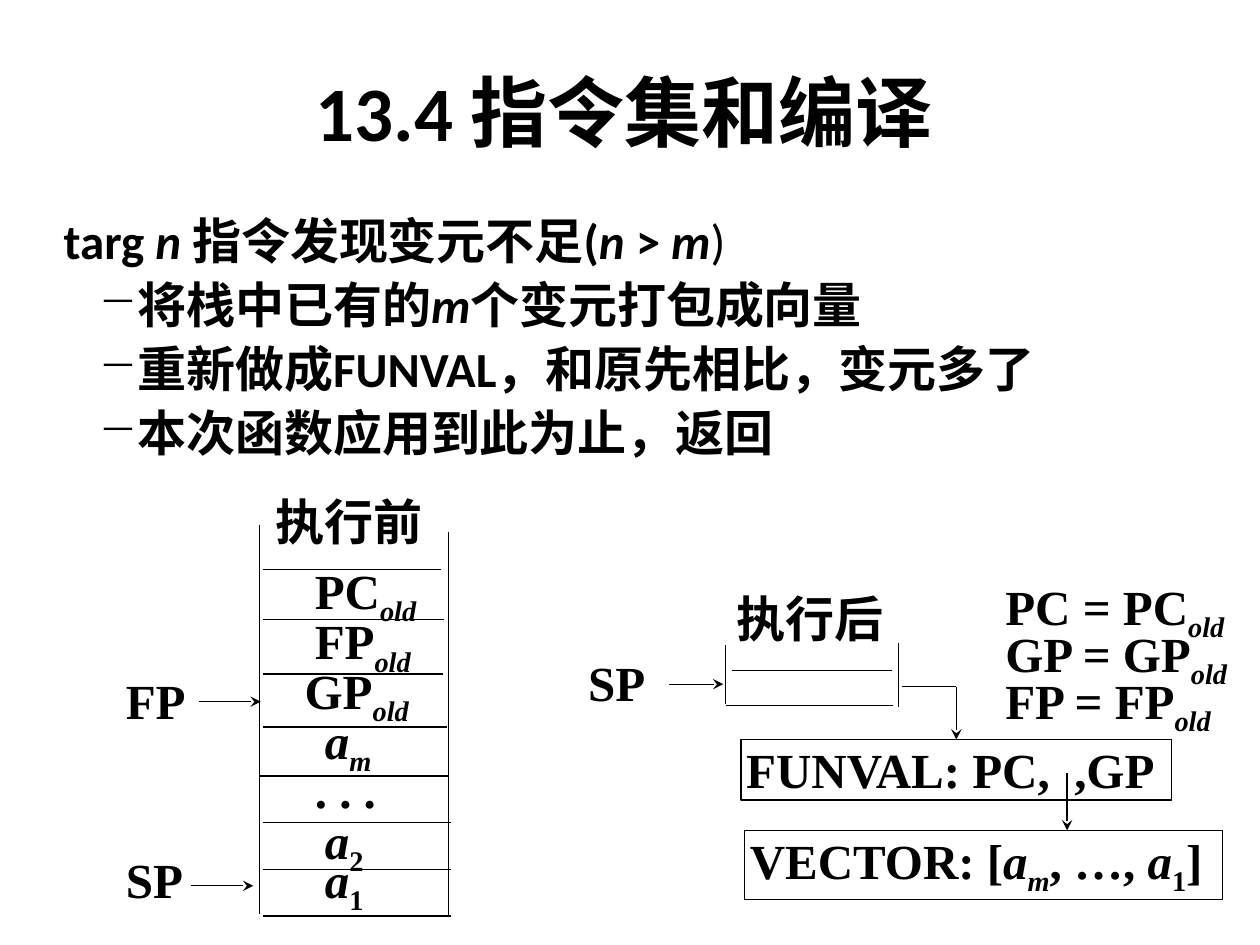
from lxml import etree
from pptx import Presentation
from pptx.dml.color import RGBColor
from pptx.enum.shapes import MSO_CONNECTOR, MSO_SHAPE
from pptx.enum.text import MSO_ANCHOR, PP_ALIGN
from pptx.oxml.ns import qn
from pptx.util import Pt

BLACK = RGBColor(0, 0, 0)
HEADING_FONT = "Calibri"
DIAGRAM_FONT = "Times New Roman"
TEXT_SIZE = 28

# Run styles: any combination of these letters
ITALIC, SUBSCRIPT, LIGHT = "i", "s", "l"
OLD = ("old", ITALIC + SUBSCRIPT)

BODY = [
    [("targ ", ""), ("n ", ITALIC), ("指令发现变元不足(", ""), ("n ", ITALIC),
     ("> ", ""), ("m", ITALIC), (")", LIGHT)],
    [("将栈中已有的", ""), ("m", ITALIC), ("个变元打包成向量", "")],
    [("重新做成FUNVAL，和原先相比，变元多了", "")],
    [("本次函数应用到此为止，返回", "")],
]

# Stack cells before execution: left, top, width, runs
STACK_CELLS = [
    (172.8, 316.8, 95, [("PC", ""), OLD]),
    (172.8, 345.6, 93, [("FP", ""), OLD]),
    (167, 373.7, 106, [("GP", ""), OLD]),
    (178.6, 402.5, 51, [("a", ITALIC), ("m", ITALIC + SUBSCRIPT)]),
    (172.8, 430.6, 68, [(". . .", "")]),
    (178.6, 459.4, 51, [("a", ITALIC), ("2", SUBSCRIPT)]),
    (178.6, 481.7, 45, [("a", ITALIC), ("1", SUBSCRIPT)]),
]

# Stack dividers: y, left end, right end
STACK_DIVIDERS = [
    (325.4, 150.5, 252), (354.2, 150.5, 254), (385.2, 150.5, 253.4),
    (415.4, 150.5, 255.6), (443.5, 148.3, 256.3), (470.2, 150.5, 257.8),
    (496.8, 150.5, 257.8), (523.4, 150.5, 257.8),
]


def fill_paragraph(paragraph, runs, font_name, size=TEXT_SIZE):
    for text, style in runs:
        run = paragraph.add_run()
        run.text = text
        font = run.font
        font.name = font_name
        font.size = Pt(size)
        font.bold = LIGHT not in style
        font.italic = ITALIC in style
        font.color.rgb = BLACK
        if SUBSCRIPT in style:
            run._r.get_or_add_rPr().set("baseline", "-25000")


def set_indent(paragraph, left, bullet=None, hanging=0):
    properties = paragraph._p.get_or_add_pPr()
    properties.set("marL", str(Pt(left)))
    properties.set("indent", str(-Pt(hanging)))
    if bullet:
        etree.SubElement(properties, qn("a:buChar")).set("char", bullet)


def add_text_box(shapes, left, top, width, height):
    box = shapes.add_textbox(Pt(left), Pt(top), Pt(width), Pt(height))
    box.text_frame.word_wrap = True
    return box.text_frame


def add_label(shapes, left, top, width, height, *lines, spacing=None):
    """Diagram text, one list of runs per line."""
    text_frame = add_text_box(shapes, left, top, width, height)
    for index, runs in enumerate(lines):
        paragraph = text_frame.add_paragraph() if index else text_frame.paragraphs[0]
        paragraph.alignment = PP_ALIGN.JUSTIFY
        paragraph.line_spacing = spacing
        fill_paragraph(paragraph, runs, DIAGRAM_FONT)


def add_frame(shapes, left, top, width, height, runs):
    """Outlined rectangle with one line of text."""
    frame = shapes.add_shape(MSO_SHAPE.RECTANGLE, Pt(left), Pt(top), Pt(width), Pt(height))
    frame.shadow.inherit = False
    frame.fill.background()
    frame.line.color.rgb = BLACK
    frame.line.width = Pt(0.75)
    text_frame = frame.text_frame
    text_frame.word_wrap = True
    text_frame.vertical_anchor = MSO_ANCHOR.TOP
    text_frame.margin_left = text_frame.margin_right = Pt(3)
    text_frame.margin_top, text_frame.margin_bottom = 0, Pt(0.7)
    paragraph = text_frame.paragraphs[0]
    paragraph.alignment = PP_ALIGN.JUSTIFY
    fill_paragraph(paragraph, runs, DIAGRAM_FONT)
    return frame


def add_line(shapes, x1, y1, x2, y2, arrow=False):
    line = shapes.add_connector(MSO_CONNECTOR.STRAIGHT, Pt(x1), Pt(y1), Pt(x2), Pt(y2))
    line.line.color.rgb = BLACK
    line.line.width = Pt(0.75)
    if arrow:
        etree.SubElement(line.line._get_or_add_ln(), qn("a:tailEnd")).set("type", "stealth")
    etree.SubElement(line._element.spPr, qn("a:effectLst"))
    return line


def add_title(shapes):
    text_frame = add_text_box(shapes, 23.8, 18, 666, 90)
    text_frame.vertical_anchor = MSO_ANCHOR.MIDDLE
    paragraph = text_frame.paragraphs[0]
    paragraph.alignment = PP_ALIGN.CENTER
    fill_paragraph(paragraph, [("13.4 指令集和编译", "")], HEADING_FONT, 44)


def add_body(shapes):
    text_frame = add_text_box(shapes, 22.3, 117, 674.7, 160)
    for index, runs in enumerate(BODY):
        if index:
            paragraph = text_frame.add_paragraph()
            paragraph.space_before = Pt(2.8)
            set_indent(paragraph, 49, "−", 22)
        else:
            paragraph = text_frame.paragraphs[0]
            set_indent(paragraph, 7)
        fill_paragraph(paragraph, runs, HEADING_FONT)


def add_state_before(shapes):
    add_label(shapes, 150.5, 277.2, 129, 45, [("执行前", "")])
    for left, top, width, runs in STACK_CELLS:
        add_label(shapes, left, top, width, 45, runs)
    add_line(shapes, 148.3, 300.2, 148.3, 522)
    add_line(shapes, 256.3, 303.8, 256.3, 524.2)
    for y, left, right in STACK_DIVIDERS:
        add_line(shapes, left, y, right, y)
    add_label(shapes, 64.8, 379.4, 74, 49, [("FP", "")])
    add_line(shapes, 113.8, 401, 149, 401, arrow=True)
    add_label(shapes, 64.8, 481.7, 74, 50, [("SP", "")])
    add_line(shapes, 109.4, 506.2, 144.7, 506.2, arrow=True)


def add_state_after(shapes):
    registers = [[(f"{name} = {name}", ""), OLD] for name in ("PC", "GP", "FP")]
    add_label(shapes, 567.4, 332.6, 152.6, 74.2, *registers, spacing=0.7)

    add_label(shapes, 414, 332.6, 114.5, 34, [("执行后", "")])
    add_line(shapes, 414.7, 368.6, 414.7, 402.5)
    add_line(shapes, 513.4, 367.2, 513.4, 403.9)
    add_line(shapes, 418.3, 383, 509.8, 383)
    add_line(shapes, 414.7, 403.2, 510.5, 403.2)
    add_label(shapes, 329, 369.4, 69, 36.7, [("SP", "")])
    add_line(shapes, 382.3, 391, 413.3, 391, arrow=True)

    funval = add_frame(shapes, 423.4, 422.6, 246.2, 34.6, [("FUNVAL: PC,  ,GP", "")])
    add_line(shapes, 515.5, 392.4, 546.5, 392.4)
    pointer = add_line(shapes, 546.5, 392.4, 546.5, 422.6, arrow=True)
    pointer.end_connect(funval, 0)

    add_frame(shapes, 425.5, 474.5, 272.9, 39.6, [
        ("VECTOR: [", ""), ("a", ITALIC), ("m", ITALIC + SUBSCRIPT), (", …, ", ""),
        ("a", ITALIC), ("1", SUBSCRIPT), ("]", "")])
    add_line(shapes, 609.8, 442, 609.8, 474.5, arrow=True)


def main():
    presentation = Presentation()
    presentation.slide_width, presentation.slide_height = Pt(720), Pt(540)
    slide = presentation.slides.add_slide(presentation.slide_layouts[6])
    add_title(slide.shapes)
    add_body(slide.shapes)
    add_state_after(slide.shapes.add_group_shape().shapes)
    add_state_before(slide.shapes.add_group_shape().shapes)
    presentation.save("out.pptx")


if __name__ == "__main__":
    main()
